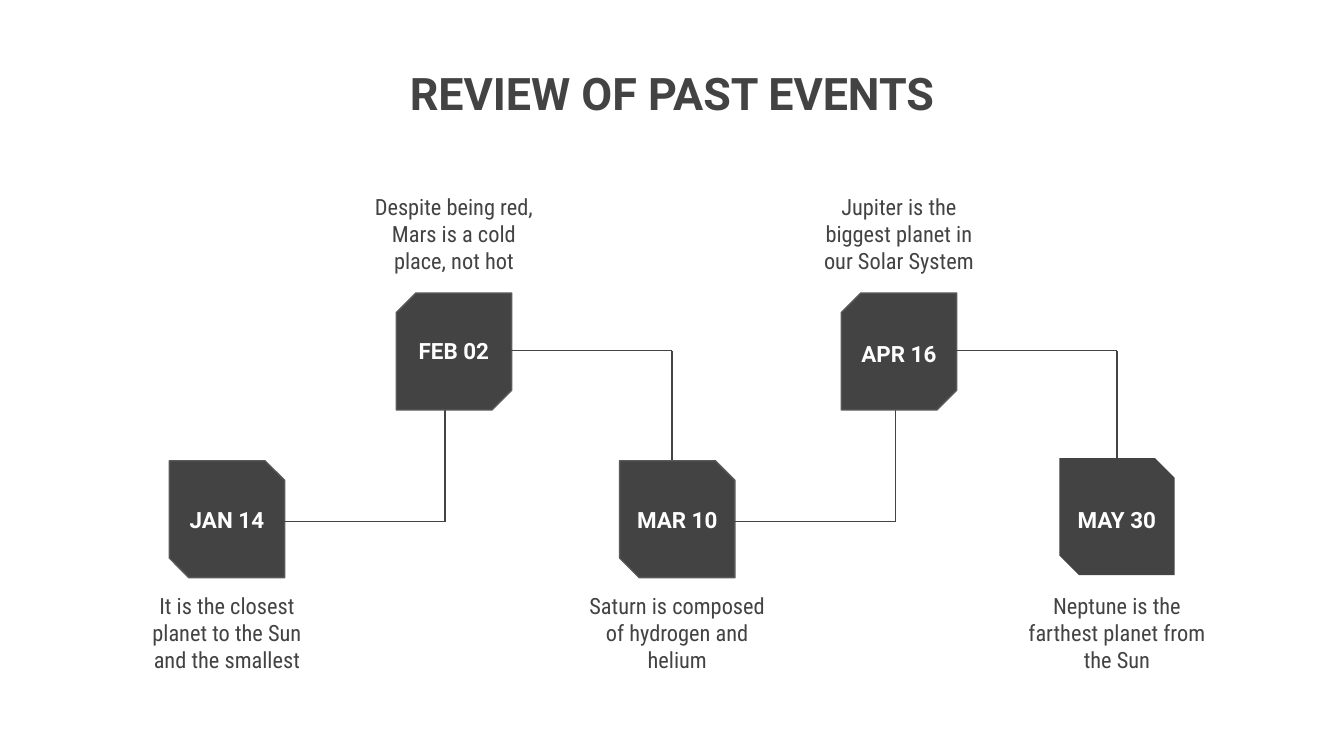
from collections import namedtuple
from dataclasses import dataclass

from lxml.etree import SubElement
from pptx import Presentation
from pptx.dml.color import RGBColor
from pptx.enum.shapes import MSO_CONNECTOR, MSO_SHAPE
from pptx.enum.text import PP_ALIGN
from pptx.oxml.ns import qn
from pptx.util import Cm, Pt


@dataclass(frozen=True)
class Theme:
    dark: RGBColor = RGBColor(0x43, 0x43, 0x43)
    edge: RGBColor = RGBColor(0x59, 0x59, 0x59)
    white: RGBColor = RGBColor(0xFF, 0xFF, 0xFF)
    heading_font: str = "Roboto"
    body_font: str = "Roboto Condensed"
    title_size: Pt = Pt(24)
    text_size: Pt = Pt(12)
    line_width: Pt = Pt(0.75)


THEME = Theme()
Event = namedtuple("Event", "date caption left top label_top raised")

EVENTS = [
    Event("JAN 14", "It is the closest planet to the Sun and the smallest",
          3.2, 8.71, 9.32, False),
    Event("FEB 02", "Despite being red, Mars is a cold place, not hot",
          7.49, 5.54, 6.12, True),
    Event("MAR 10", "Saturn is composed of hydrogen and helium",
          11.71, 8.71, 9.32, False),
    Event("APR 16", "Jupiter is the biggest planet in our Solar System",
          15.9, 5.54, 6.18, True),
    Event("MAY 30", "Neptune is the farthest planet from the Sun",
          20.02, 8.66, 9.32, False),
]

TILE_W, TILE_H = 2.18, 2.21
LABEL_H = 1.09
CAPTION_W, CAPTION_H = 3.91, 1.68
RAISED_CAPTION_TOP, LOWERED_CAPTION_TOP = 3.4, 10.95
LINK_INSET, LINK_ACROSS, LINK_RISE = 1.04, 4.17, 2.54
RAISED_LINK_Y, LOWERED_LINK_Y = 6.63, 9.86


def add_text(slide, text, left, top, width, height, size, font, color, bold=False):
    sp = slide.shapes.add_textbox(Cm(left), Cm(top), Cm(width), Cm(height))
    tf = sp.text_frame
    tf.word_wrap = True
    tf.margin_left = tf.margin_right = tf.margin_top = tf.margin_bottom = Cm(0.25)
    tf.text = text
    p = tf.paragraphs[0]
    p.alignment = PP_ALIGN.CENTER
    r = p.runs[0]
    r.font.size = size
    r.font.name = font
    r.font.bold = bold
    r.font.color.rgb = color


def add_tile(slide, event, outlined):
    """Draw a square whose snipped corners depend on its row."""
    sp = slide.shapes.add_shape(MSO_SHAPE.SNIP_2_DIAG_RECTANGLE, Cm(event.left),
                                Cm(event.top), Cm(TILE_W), Cm(TILE_H))
    sp.adjustments[0], sp.adjustments[1] = (0.17, 0) if event.raised else (0, 0.17)
    sp.shadow.inherit = False
    sp.fill.solid()
    sp.fill.fore_color.rgb = THEME.dark
    if outlined:
        sp.line.color.rgb = THEME.edge
        sp.line.width = THEME.line_width
    else:
        sp.line.fill.background()


def add_line(slide, x1, y1, x2, y2):
    line = slide.shapes.add_connector(MSO_CONNECTOR.STRAIGHT,
                                      Cm(x1), Cm(y1), Cm(x2), Cm(y2))
    line.line.color.rgb = THEME.dark
    line.line.width = THEME.line_width
    SubElement(line._element.spPr, qn("a:effectLst"))


def add_link(slide, event):
    """Run a line right from the tile, then up or down to the next one."""
    start = event.left + LINK_INSET
    bend = start + LINK_ACROSS
    y = RAISED_LINK_Y if event.raised else LOWERED_LINK_Y
    add_line(slide, start, y, bend, y)
    add_line(slide, bend, y, bend, y + (LINK_RISE if event.raised else -LINK_RISE))


def add_event_text(slide, event):
    add_text(slide, event.date, event.left, event.label_top, TILE_W, LABEL_H,
             THEME.text_size, THEME.heading_font, THEME.white, bold=True)
    caption_left = event.left + (TILE_W - CAPTION_W) / 2
    caption_top = RAISED_CAPTION_TOP if event.raised else LOWERED_CAPTION_TOP
    add_text(slide, event.caption, caption_left, caption_top, CAPTION_W, CAPTION_H,
             THEME.text_size, THEME.body_font, THEME.dark)


def main():
    prs = Presentation()
    prs.slide_width, prs.slide_height = Cm(25.4), Cm(14.29)
    slide = prs.slides.add_slide(prs.slide_layouts[6])

    add_text(slide, "REVIEW OF PAST EVENTS", 5.46, 0.99, 14.48, 2.62,
             THEME.title_size, THEME.heading_font, THEME.dark, bold=True)
    for event in EVENTS:
        is_last = event is EVENTS[-1]
        add_tile(slide, event, outlined=not is_last)
        if not is_last:
            add_link(slide, event)
    for event in EVENTS:
        add_event_text(slide, event)

    prs.save("out.pptx")


if __name__ == "__main__":
    main()
